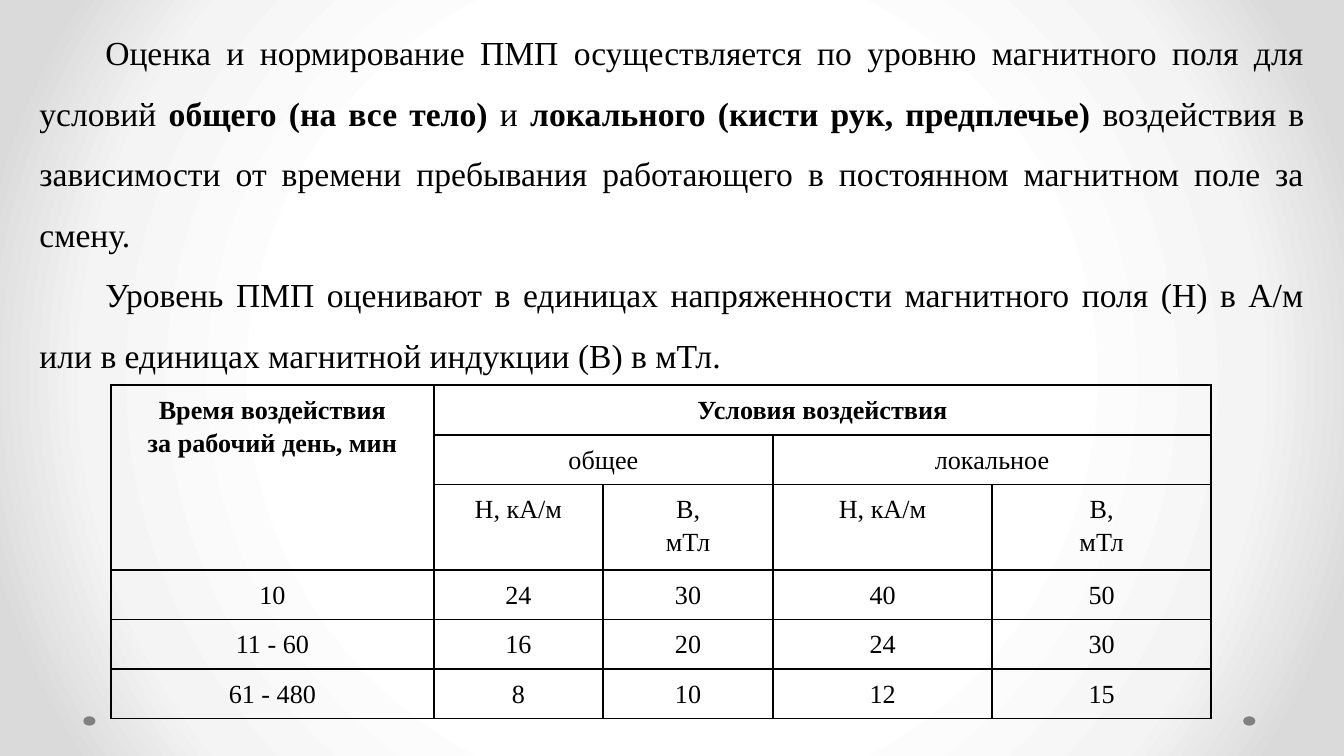
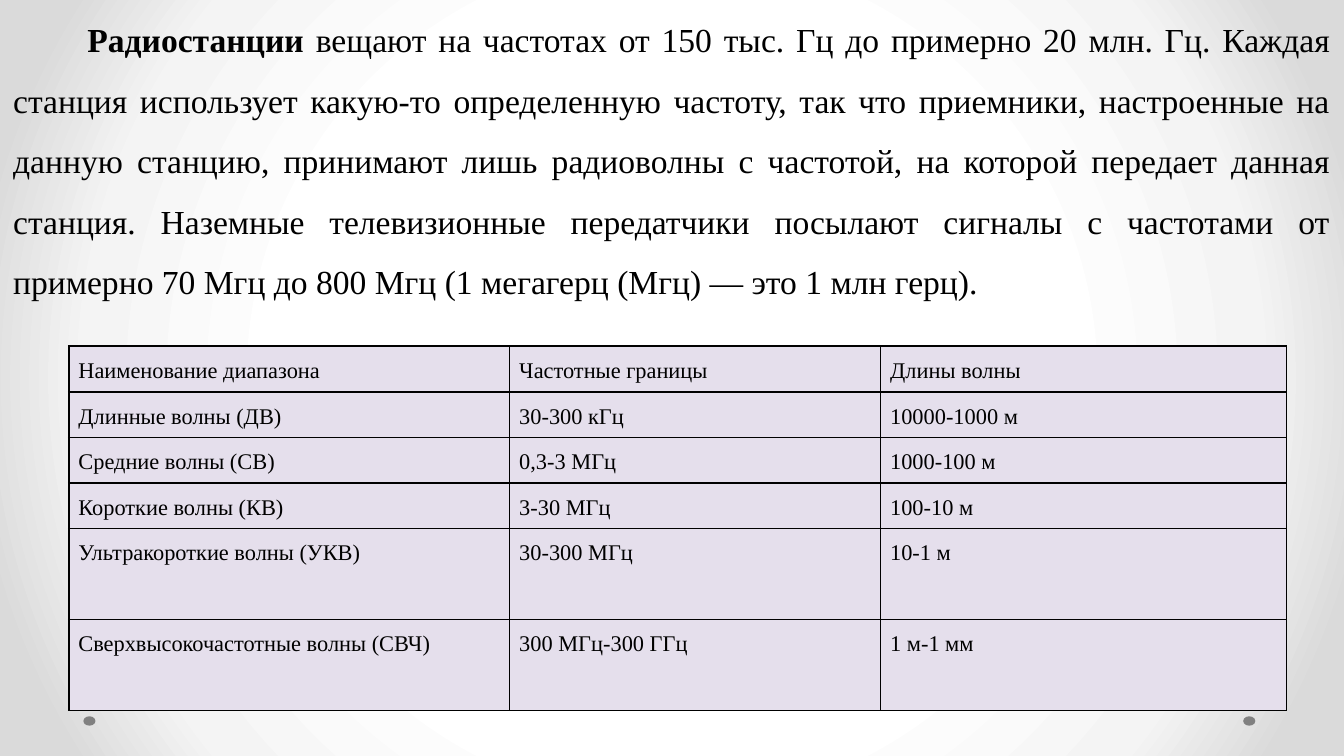
import lxml.etree
import pptx
import pptx.dml.color
import pptx.enum.shapes
import pptx.enum.text
import pptx.oxml.ns
import pptx.util

BLACK = pptx.dml.color.RGBColor(0x00, 0x00, 0x00)
GREY = pptx.dml.color.RGBColor(0x80, 0x80, 0x80)
LILAC = pptx.dml.color.RGBColor(0xE5, 0xDF, 0xEC)
WHITE = pptx.dml.color.RGBColor(0xFF, 0xFF, 0xFF)
PALE = pptx.dml.color.RGBColor(0xF4, 0xF4, 0xF4)
SILVER = pptx.dml.color.RGBColor(0xDA, 0xDA, 0xDA)

FONT = "Times New Roman"
NO_BREAK_SPACE = chr(160)
GRID_COLUMNS = 100  # square grid cells, a hundred across the slide
BODY_SIZE = 18
BODY_SPACING = 1.5
BODY_INDENT = 4.9
BORDER = pptx.util.Pt(1)
GLOW_STOPS = [(50, WHITE), (76, PALE), (92, SILVER)]
DOT_COLUMNS = (92.5, 6.2)

CENTER = pptx.enum.text.PP_ALIGN.CENTER
JUSTIFY = pptx.enum.text.PP_ALIGN.JUSTIFY


def add_xml(parent, tag, **attributes):
    return lxml.etree.SubElement(parent, pptx.oxml.ns.qn(tag), attributes)


def add_solid_fill(parent, color):
    add_xml(add_xml(parent, "a:solidFill"), "a:srgbClr", val=str(color))


class Deck:
    """Holds the shared style and the slide being built."""

    def __init__(self):
        self.presentation = pptx.Presentation()
        self.presentation.slide_width = pptx.util.Inches(10)
        self.presentation.slide_height = self.presentation.slide_width * 9 // 16
        self.unit = self.presentation.slide_width // GRID_COLUMNS
        self.slide = None
        self.add_glow()

    def grid(self, *lengths):
        return [pptx.util.Emu(round(length * self.unit)) for length in lengths]

    def add_glow(self):
        """Give the master a round gradient that darkens towards the edges."""
        master = self.presentation.slide_master
        master.background.fill.gradient()
        gradient = next(master.element.iter(pptx.oxml.ns.qn("a:gradFill")))
        for child in list(gradient):
            gradient.remove(child)
        stops = add_xml(gradient, "a:gsLst")
        for position, color in GLOW_STOPS:
            stop = add_xml(stops, "a:gs", pos=str(position * 1000))
            add_xml(stop, "a:srgbClr", val=str(color))
        circle = add_xml(gradient, "a:path", path="circle")
        add_xml(circle, "a:fillToRect", l="50000", t="50000", r="50000", b="50000")

    def new_slide(self):
        self.slide = self.presentation.slides.add_slide(self.presentation.slide_layouts[6])
        for column in DOT_COLUMNS:
            self.dot(column, 53.3)

    def dot(self, left, top):
        shape = self.slide.shapes.add_shape(
            pptx.enum.shapes.MSO_SHAPE.OVAL, *self.grid(left, top, 0.9, 0.7))
        shape.shadow.inherit = False
        shape.fill.solid()
        shape.fill.fore_color.rgb = GREY
        shape.line.fill.background()

    def style(self, paragraph, size, alignment, spacing):
        paragraph.alignment = alignment
        paragraph.line_spacing = spacing
        paragraph.font.name = FONT
        paragraph.font.size = pptx.util.Pt(size)
        paragraph.font.color.rgb = BLACK

    def body(self, box, paragraphs):
        """Add justified text; each paragraph is a list of (text, bold) pairs."""
        shape = self.slide.shapes.add_textbox(*self.grid(*box))
        frame = shape.text_frame
        frame.word_wrap = True
        frame.auto_size = pptx.enum.text.MSO_AUTO_SIZE.SHAPE_TO_FIT_TEXT
        for index, pieces in enumerate(paragraphs):
            paragraph = frame.add_paragraph() if index else frame.paragraphs[0]
            properties = paragraph._p.get_or_add_pPr()
            properties.set("marL", "0")
            properties.set("indent", str(self.grid(BODY_INDENT)[0]))
            self.style(paragraph, BODY_SIZE, JUSTIFY, BODY_SPACING)
            for text, bold in pieces:
                run = paragraph.add_run()
                run.text = text
                run.font.bold = bold

    def border(self, cell):
        properties = cell._tc.get_or_add_tcPr()
        for side in ("a:lnL", "a:lnR", "a:lnT", "a:lnB"):
            add_solid_fill(add_xml(properties, side, w=str(BORDER)), BLACK)

    def table(self, left, top, columns, rows, texts, size, alignment, spacing,
              fill=None, margins=None, merges=(), bold_rows=0):
        """Add a bordered table; a merge is (first row, first column, last row, last column)."""
        frame = self.slide.shapes.add_table(
            len(rows), len(columns), *self.grid(left, top, sum(columns), sum(rows)))
        table = frame.table
        table.first_row = table.horz_banding = False
        for column, width in zip(table.columns, self.grid(*columns)):
            column.width = width
        for row, height in zip(table.rows, self.grid(*rows)):
            row.height = height
        for row_index, row_texts in enumerate(texts):
            for column_index, text in enumerate(row_texts):
                cell = table.cell(row_index, column_index)
                self.border(cell)
                if fill is None:
                    cell.fill.background()
                else:
                    cell.fill.solid()
                    cell.fill.fore_color.rgb = fill
                if margins:
                    (cell.margin_left, cell.margin_top,
                     cell.margin_right, cell.margin_bottom) = self.grid(*margins)
                cell.text_frame.text = text
                for paragraph in cell.text_frame.paragraphs:
                    self.style(paragraph, size, alignment, spacing)
                    paragraph.font.bold = row_index < bold_rows
        for first_row, first_column, last_row, last_column in merges:
            table.cell(first_row, first_column).merge(table.cell(last_row, last_column))


def magnetic_field_slide(deck):
    deck.new_slide()
    deck.body((1.95, 0.4, 96.1, 28.3), [
        [("Оценка и нормирование ПМП осуществляется по уровню магнитного поля для условий ", False),
         ("общего (на все тело)", True),
         (" и ", False),
         ("локального (кисти рук, предплечье)", True),
         (" воздействия в зависимости от времени пребывания работающего "
          "в постоянном магнитном поле за смену.", False)],
        [("Уровень ПМП оценивают в единицах напряженности магнитного поля (Н) в А/м "
          "или в единицах магнитной индукции (В) в мТл.", False)],
    ])
    deck.table(
        8.27, 28.66, [24, 12.6, 12.65, 16.3, 16.3], [3.69, 3.69, 6.35, 3.69, 3.69, 3.69],
        [
            ["Время воздействия\nза рабочий день, мин", "Условия воздействия", "", "", ""],
            ["", "общее", "", "локальное", ""],
            ["", "Н, кА/м", "В,\nмТл", "Н, кА/м", "В,\nмТл"],
            ["10", "24", "30", "40", "50"],
            ["11 - 60", "16", "20", "24", "30"],
            ["61 - 480", "8", "10", "12", "15"],
        ],
        size=14, alignment=CENTER, spacing=1.15, bold_rows=1,
        merges=[(0, 0, 2, 0), (0, 1, 0, 4), (1, 1, 1, 2), (1, 3, 1, 4)])


def radio_slide(deck):
    deck.new_slide()
    deck.body((0, -0.58, 100, 23.2), [
        [(NO_BREAK_SPACE + "Радиостанции ", True),
         ("вещают на частотах от 150 тыс. Гц до примерно 20 млн. Гц. Каждая станция использует "
          "какую-то определенную частоту, так что приемники, настроенные на данную станцию, "
          "принимают лишь радиоволны с частотой, на которой передает данная станция. Наземные "
          "телевизионные передатчики посылают сигналы с частотами от примерно 70 Мгц до 800 Мгц "
          "(1 мегагерц (Мгц) — это 1 млн герц). ", False)],
    ])
    deck.table(
        5.12, 25.76, [32.8, 27.6, 30.2], [3.39] * 4 + [6.78] * 2,
        [
            ["Наименование диапазона", "Частотные границы", "Длины волны"],
            ["Длинные волны (ДВ)", "30-300 кГц", "10000-1000 м"],
            ["Средние волны (СВ)", "0,3-3 МГц", "1000-100 м"],
            ["Короткие волны (КВ)", "3-30 МГц", "100-10 м"],
            ["Ультракороткие волны (УКВ)", "30-300 МГц", "10-1 м"],
            ["Сверхвысокочастотные волны (СВЧ)", "300 МГц-300 ГГц", "1 м-1 мм"],
        ],
        size=12, alignment=JUSTIFY, spacing=1.5, fill=LILAC, margins=(0.72, 0, 0.72, 0))


def main():
    deck = Deck()
    magnetic_field_slide(deck)
    radio_slide(deck)
    deck.presentation.save("out.pptx")


if __name__ == "__main__":
    main()
